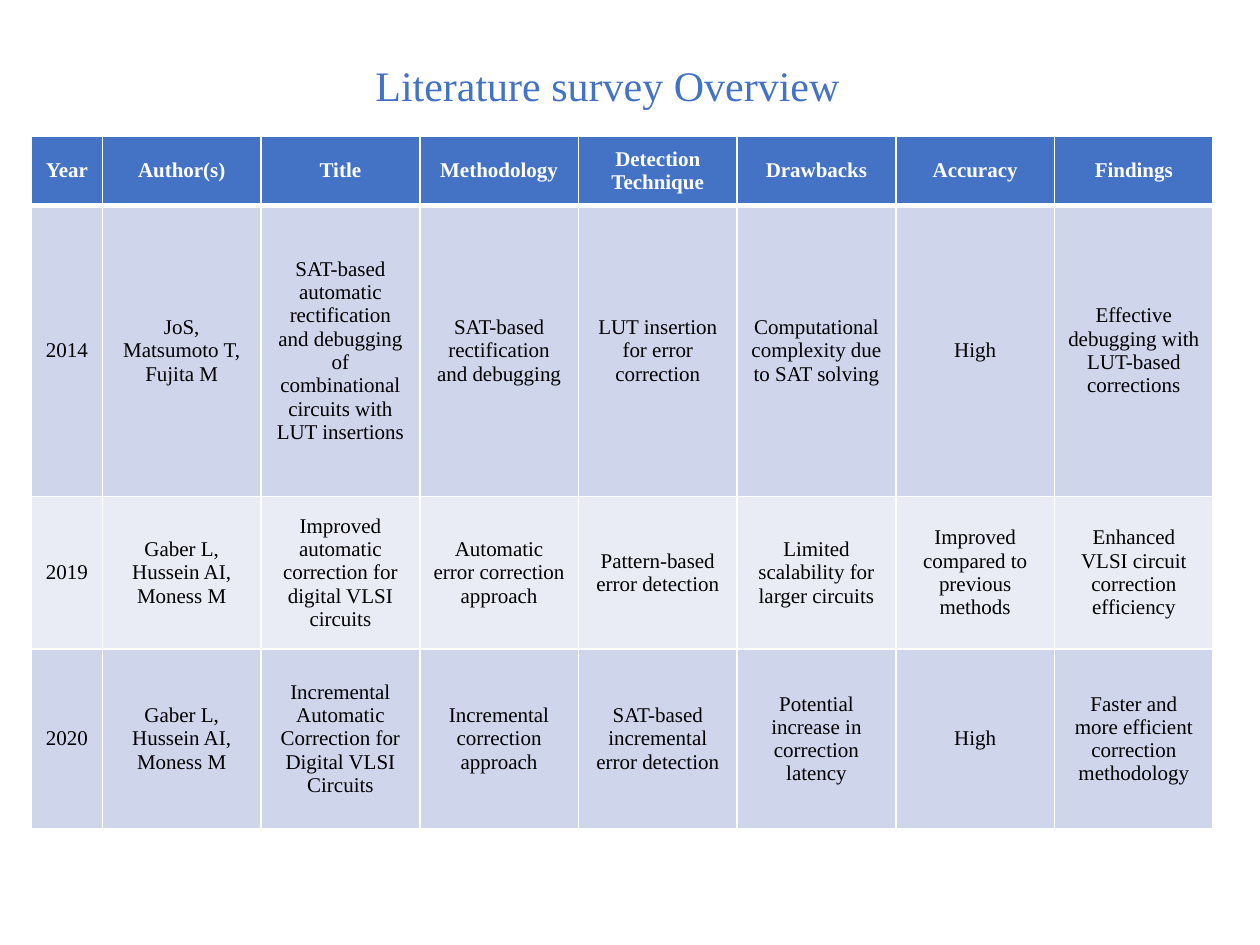
from lxml import etree
from pptx import Presentation
from pptx.dml.color import RGBColor
from pptx.enum.text import MSO_ANCHOR, PP_ALIGN
from pptx.oxml.ns import qn
from pptx.util import Inches, Pt

MIDDLE, TOP = MSO_ANCHOR.MIDDLE, MSO_ANCHOR.TOP
CENTER, LEFT = PP_ALIGN.CENTER, PP_ALIGN.LEFT
TITLE_ONLY = 5
FONT = "Times New Roman"
BLUE, WHITE, BLACK = "4472C4", "FFFFFF", "000000"
BANDS = ("CFD5EA", "E9EBF5")
THIN, THICK = 1, 3

TITLE_BOX = (2.88, 0.42, 4.25, 0.5)
SURVEY_BOX = (0.25, 1.08, 9.38, 5.5)
YEAR_SHARE = 0.06
ROW_SHARES = (0.1, 0.42, 0.22, 0.26)

SURVEY = (
    ("Year", "Author(s)", "Title", "Methodology", "Detection Technique",
     "Drawbacks", "Accuracy", "Findings"),
    ("2014", "JoS, Matsumoto T, Fujita M",
     "SAT-based automatic rectification and debugging of combinational "
     "circuits with LUT insertions",
     "SAT-based rectification and debugging",
     "LUT insertion for error correction",
     "Computational complexity due to SAT solving", "High",
     "Effective debugging with LUT-based corrections"),
    ("2019", "Gaber L, Hussein AI, Moness M",
     "Improved automatic correction for digital VLSI circuits",
     "Automatic error correction approach", "Pattern-based error detection",
     "Limited scalability for larger circuits",
     "Improved compared to previous methods",
     "Enhanced VLSI circuit correction efficiency"),
    ("2020", "Gaber L, Hussein AI, Moness M",
     "Incremental Automatic Correction for Digital VLSI Circuits",
     "Incremental correction approach",
     "SAT-based incremental error detection",
     "Potential increase in correction latency", "High",
     "Faster and more efficient correction methodology"),
)


def color(hex_code):
    """Turn a hex string into a colour."""
    return RGBColor.from_string(hex_code)


def write(frame, wording, size, hex_code, align, bold=False):
    """Fill a text frame with one formatted paragraph."""
    frame.text = wording
    paragraph = frame.paragraphs[0]
    paragraph.alignment = align
    font = paragraph.runs[0].font
    font.name, font.size, font.bold = FONT, Pt(size), bold
    font.color.rgb = color(hex_code)


def add_border(cell, side, points):
    """Draw a white rule on one side of a cell."""
    rule = etree.SubElement(cell._tc.get_or_add_tcPr(), qn(f"a:ln{side}"),
                            w=str(Pt(points)))
    fill = etree.SubElement(rule, qn("a:solidFill"))
    etree.SubElement(fill, qn("a:srgbClr"), val=WHITE)


def place_title(slide, box):
    """Place the heading in its box."""
    heading = slide.shapes.title
    heading.left, heading.top, heading.width, heading.height = map(Inches, box)
    write(heading.text_frame, "Literature survey Overview", 24, BLUE, LEFT)
    heading.text_frame.vertical_anchor = TOP
    heading.text_frame.word_wrap = True


def style_cell(cell, wording, row):
    """Write and colour one survey cell according to its row."""
    header = row == 0
    write(cell.text_frame, wording, 12, WHITE if header else BLACK, CENTER, header)
    cell.vertical_anchor = MIDDLE
    add_border(cell, "L", THIN)
    add_border(cell, "R", THIN)
    add_border(cell, "T", THICK if row == 1 else THIN)
    add_border(cell, "B", THICK if header else THIN)
    cell.fill.solid()
    cell.fill.fore_color.rgb = color(BLUE if header else BANDS[(row - 1) % 2])


def place_survey(slide, box):
    """Place the survey table with a narrow year column and equal others."""
    left, top, width, height = map(Inches, box)
    columns = len(SURVEY[0])
    table = slide.shapes.add_table(len(SURVEY), columns, left, top, width, height).table
    other_share = (1 - YEAR_SHARE) / (columns - 1)
    for index, column in enumerate(table.columns):
        column.width = int(width * (other_share if index else YEAR_SHARE))
    for row, (share, entries) in enumerate(zip(ROW_SHARES, SURVEY)):
        table.rows[row].height = int(height * share)
        for index, wording in enumerate(entries):
            style_cell(table.cell(row, index), wording, row)


def main():
    """Build and save the literature survey slide."""
    deck = Presentation()
    deck.slide_width, deck.slide_height = Inches(10), Inches(7.5)
    slide = deck.slides.add_slide(deck.slide_layouts[TITLE_ONLY])
    place_title(slide, TITLE_BOX)
    place_survey(slide, SURVEY_BOX)
    deck.save("out.pptx")


if __name__ == "__main__":
    main()
